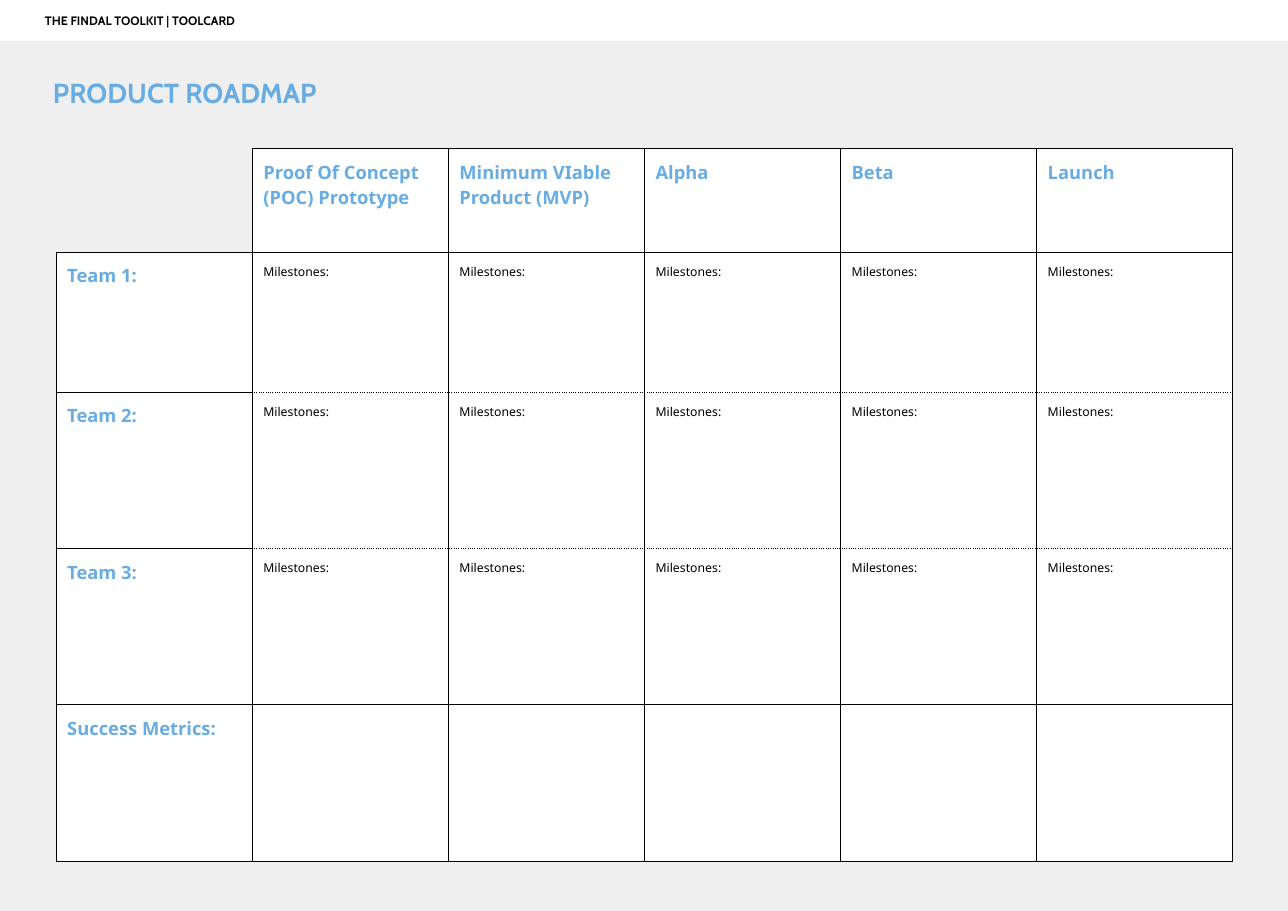
from lxml import etree
from pptx import Presentation
from pptx.dml.color import RGBColor
from pptx.enum.shapes import MSO_SHAPE
from pptx.enum.text import MSO_ANCHOR, MSO_AUTO_SIZE, PP_ALIGN
from pptx.oxml.ns import qn
from pptx.util import Inches, Pt

RECT = MSO_SHAPE.RECTANGLE
TOP, MIDDLE = MSO_ANCHOR.TOP, MSO_ANCHOR.MIDDLE
LEFT = PP_ALIGN.LEFT
FIXED = MSO_AUTO_SIZE.NONE

COLORS = {"blue": "68ACE1", "grey": "EFEFEF", "white": "FFFFFF", "black": "000000"}
WIDE, HIGH = 11.69, 8.27
PAD = Inches(0.1)

STAGES = ["Proof Of Concept (POC) Prototype", "Minimum VIable Product (MVP)",
          "Alpha", "Beta", "Launch"]
TEAMS = ["Team 1:", "Team 2:", "Team 3:"]
GRID = [["", *STAGES]]
GRID += [[team] + ["Milestones:"] * len(STAGES) for team in TEAMS]
GRID += [["Success Metrics:"] + [""] * len(STAGES)]
COL = 1.78
ROWS = [0.94, 1.27, 1.42, 1.42, 1.42]


def color(name):
    return RGBColor.from_string(COLORS[name])


class Card:
    def __init__(self, deck):
        self.head, self.body = "Cabin", "Noto Sans"
        self.slide = deck.slides.add_slide(deck.slide_layouts[5])

    def label(self, frame, text, size, ink, face, bold=True, indent=0):
        frame.text = text
        para = frame.paragraphs[0]
        para.alignment = LEFT
        para.font.name, para.font.size, para.font.bold = face, Pt(size), bold
        para.font.color.rgb = color(ink)
        if indent:
            props = para._p.get_or_add_pPr()
            props.set("marL", str(Inches(indent)))
            props.set("indent", "0")

    def pad(self, frame, anchor):
        frame.margin_left = frame.margin_right = PAD
        frame.margin_top = frame.margin_bottom = PAD
        frame.vertical_anchor = anchor
        frame.word_wrap = True
        frame.auto_size = FIXED

    def panel(self, wide, high, fill):
        """Add a plain rectangle at the top left corner of the slide."""
        box = self.slide.shapes.add_shape(RECT, 0, 0, Inches(wide), Inches(high))
        box.shadow.inherit = False
        box.fill.solid()
        box.fill.fore_color.rgb = color(fill)
        box.line.fill.background()
        return box

    def title(self, text):
        shape = self.slide.shapes.title
        shape.left, shape.top = 0, Inches(0.59)
        shape.width, shape.height = Inches(6.64), Inches(0.75)
        self.pad(shape.text_frame, TOP)
        self.label(shape.text_frame, text, 18, "blue", self.head, indent=0.38)
        # Keep the title in front of the backdrop
        self.slide.shapes._spTree.append(shape._element)

    def banner(self, text):
        bar = self.panel(11.71, 0.37, "white")
        self.pad(bar.text_frame, MIDDLE)
        self.label(bar.text_frame, text, 8, "black", self.head, indent=0.31)

    def border(self, cell, side, dash):
        """Draw one side (L, R, T or B) of a cell; no dash means no line."""
        props = cell._tc.get_or_add_tcPr()
        line = etree.SubElement(props, qn(f"a:ln{side}"), w=str(Pt(0.75)))
        if not dash:
            etree.SubElement(line, qn("a:noFill"))
            return
        fill = etree.SubElement(line, qn("a:solidFill"))
        etree.SubElement(fill, qn("a:srgbClr"), val=COLORS["black"])
        etree.SubElement(line, qn("a:prstDash"), val=dash)

    def cell(self, cell, text, row, col):
        corner = row == col == 0
        plan = col > 0 and 1 <= row <= len(TEAMS)
        dashes = dict.fromkeys("LRTB", "solid")
        if corner:
            dashes["L"] = dashes["T"] = None
        if plan and row > 1:
            dashes["T"] = "dot"
        if plan and row < len(TEAMS):
            dashes["B"] = "dot"
        for side, dash in dashes.items():
            self.border(cell, side, dash)
        if corner:
            cell.fill.background()
        else:
            cell.fill.solid()
            cell.fill.fore_color.rgb = color("white")
        cell.margin_left = cell.margin_right = PAD
        cell.margin_top = cell.margin_bottom = PAD
        cell.vertical_anchor = TOP
        if text:
            size, ink = (8, "black") if plan else (12, "blue")
            self.label(cell.text_frame, text, size, ink, self.body, not plan)

    def table(self, grid):
        count = len(grid[0])
        table = self.slide.shapes.add_table(
            len(grid), count, Inches(0.51), Inches(1.35),
            Inches(COL * count), Inches(sum(ROWS))).table
        table.first_row = table.horz_banding = False
        for col in table.columns:
            col.width = Inches(COL)
        for row, (high, texts) in enumerate(zip(ROWS, grid)):
            table.rows[row].height = Inches(high)
            for col, text in enumerate(texts):
                self.cell(table.cell(row, col), text, row, col)


def main():
    deck = Presentation()
    deck.slide_width, deck.slide_height = Inches(WIDE), Inches(HIGH)
    card = Card(deck)
    card.panel(WIDE, HIGH, "grey")
    card.title("PRODUCT ROADMAP")
    card.table(GRID)
    card.banner("THE FINDAL TOOLKIT | TOOLCARD")
    deck.save("out.pptx")


if __name__ == "__main__":
    main()
